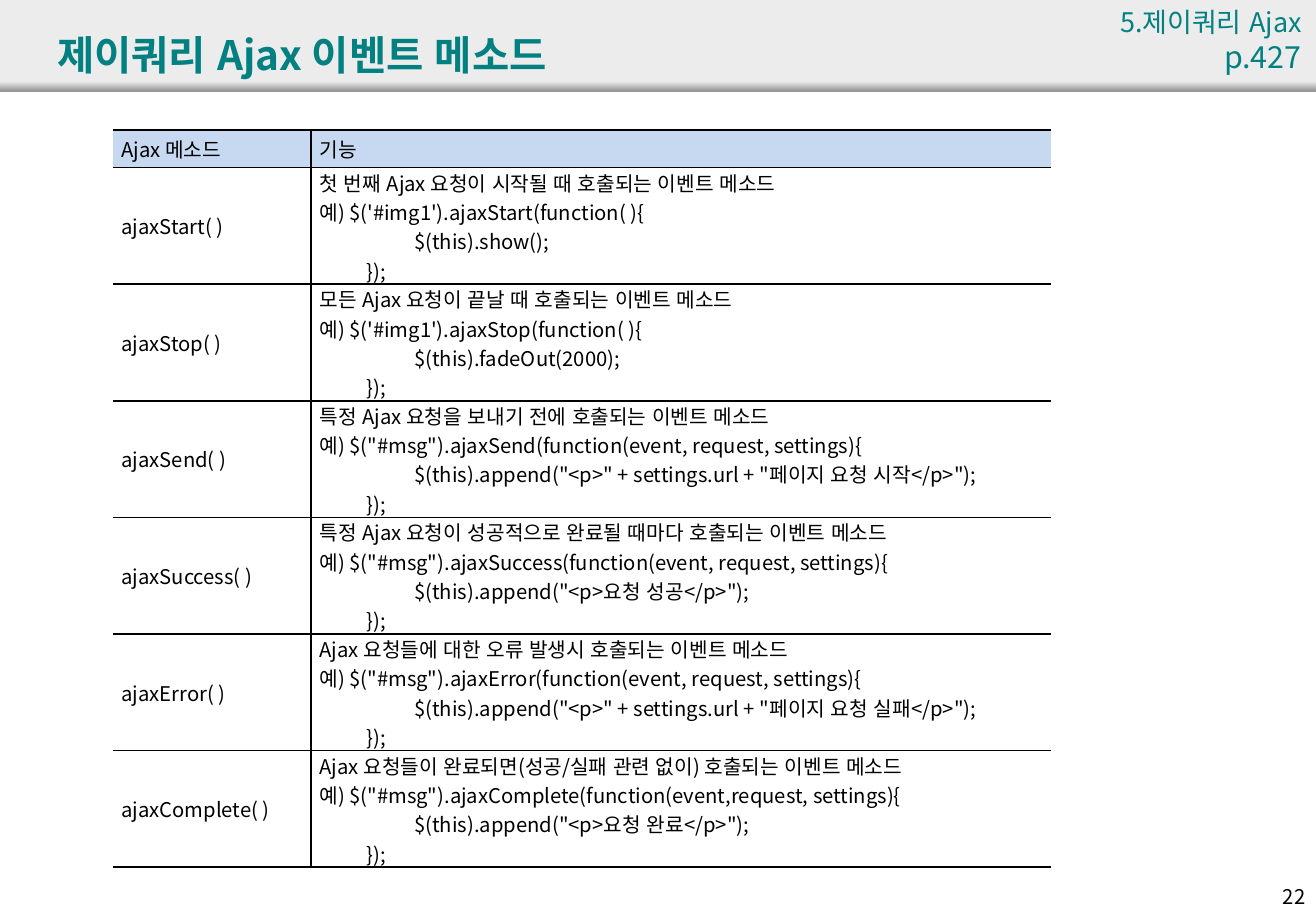
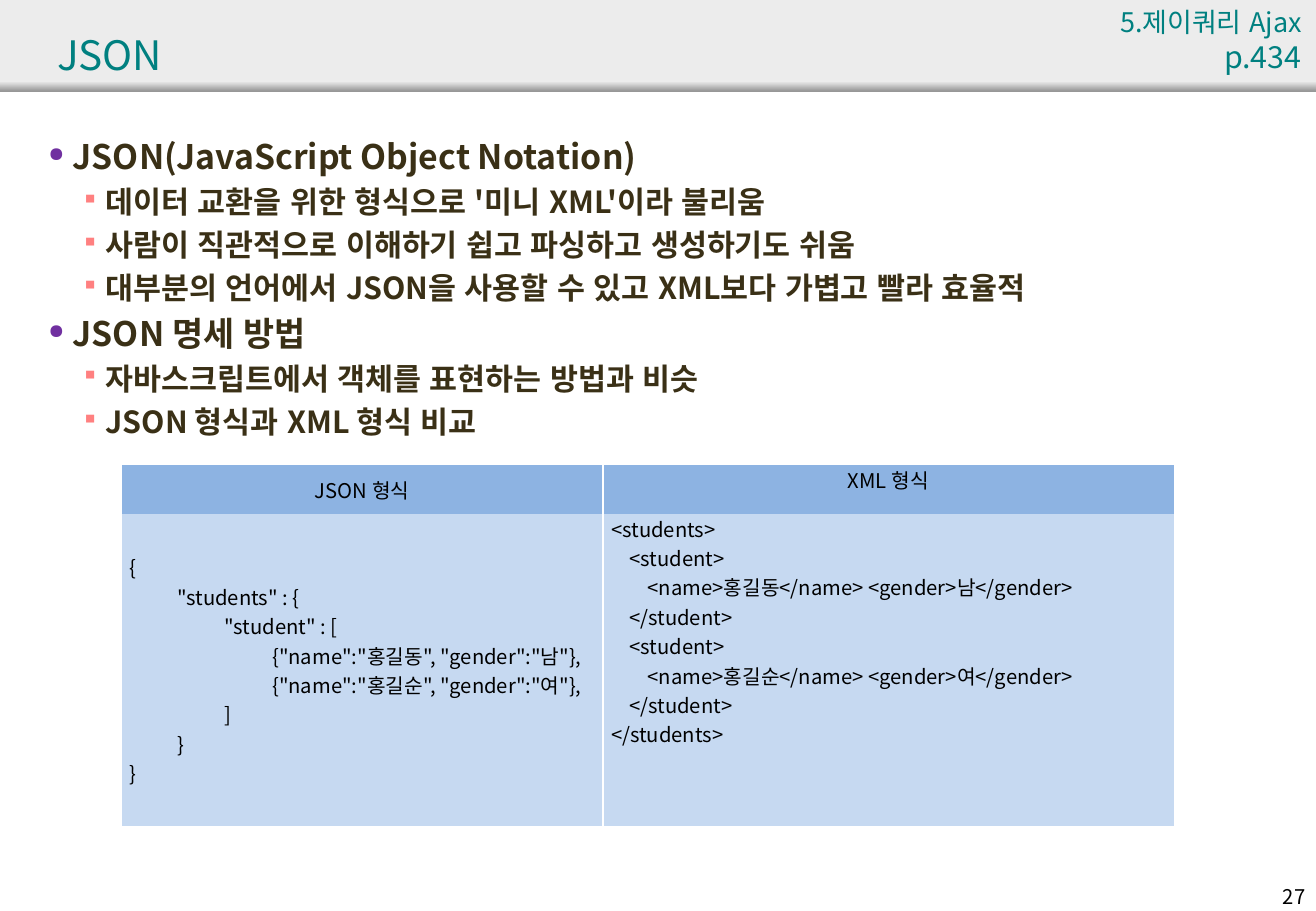
from lxml import etree
from pptx import Presentation
from pptx import util as u
from pptx.dml.color import RGBColor
from pptx.enum import lang, shapes, text
from pptx.oxml.ns import qn

FONT = "Noto Sans CJK KR"
BLACK = RGBColor(0x00, 0x00, 0x00)
WHITE = RGBColor(0xFF, 0xFF, 0xFF)
TEAL = RGBColor(0x00, 0x80, 0x80)
BROWN = RGBColor(0x3A, 0x30, 0x16)
PURPLE = RGBColor(0x70, 0x30, 0xA0)
CORAL = RGBColor(0xFF, 0x80, 0x80)
BAND_GRAY = RGBColor(0xEC, 0xEC, 0xEC)
EDGE_GRAY = RGBColor(0x97, 0x97, 0x97)
PALE_BLUE = RGBColor(0xC6, 0xD9, 0xF1)
MID_BLUE = RGBColor(0x8D, 0xB3, 0xE2)

WIDTH, HEIGHT = 10.83, 7.5
BAND_HEIGHT = HEIGHT / 10
EDGE_HEIGHT = 0.08
CODE_STEP = 0.39
MARKUP_STEP = 0.15
TOP, MIDDLE = text.MSO_ANCHOR.TOP, text.MSO_ANCHOR.MIDDLE
LEFT, CENTER, RIGHT = text.PP_ALIGN.LEFT, text.PP_ALIGN.CENTER, text.PP_ALIGN.RIGHT

EVENTS = [
    ("ajaxStart", "첫 번째 Ajax 요청이 시작될 때 호출되는 이벤트 메소드",
     "#img1", "", "show()"),
    ("ajaxStop", "모든 Ajax 요청이 끝날 때 호출되는 이벤트 메소드",
     "#img1", "", "fadeOut(2000)"),
    ("ajaxSend", "특정 Ajax 요청을 보내기 전에 호출되는 이벤트 메소드",
     "#msg", "event, request, settings",
     'append("<p>" + settings.url + "페이지 요청 시작</p>")'),
    ("ajaxSuccess", "특정 Ajax 요청이 성공적으로 완료될 때마다 호출되는 이벤트 메소드",
     "#msg", "event, request, settings", 'append("<p>요청 성공</p>")'),
    ("ajaxError", "Ajax 요청들에 대한 오류 발생시 호출되는 이벤트 메소드",
     "#msg", "event, request, settings",
     'append("<p>" + settings.url + "페이지 요청 실패</p>")'),
    ("ajaxComplete", "Ajax 요청들이 완료되면(성공/실패 관련 없이) 호출되는 이벤트 메소드",
     "#msg", "event,request, settings", 'append("<p>요청 완료</p>")'),
]

OUTLINE = [
    (0, "JSON(JavaScript Object Notation)"),
    (1, "데이터 교환을 위한 형식으로 '미니 XML'이라 불리움"),
    (1, "사람이 직관적으로 이해하기 쉽고 파싱하고 생성하기도 쉬움"),
    (1, "대부분의 언어에서 JSON을 사용할 수 있고 XML보다 가볍고 빨라 효율적"),
    (0, "JSON 명세 방법"),
    (1, "자바스크립트에서 객체를 표현하는 방법과 비슷"),
    (1, "JSON 형식과 XML 형식 비교"),
]
# size, text indent, bullet, bullet colour, bullet size in percent
LEVELS = [(20, 0.2, "●", PURPLE, 60), (18, 0.47, "▪", CORAL, 80)]
BULLET_HANG = 0.2

STUDENTS = [("홍길동", "남"), ("홍길순", "여")]
JSON_LINES = [
    "{", '\t"students" : {', '\t\t"student" : [',
    *(f'\t\t\t{{"name":"{name}", "gender":"{gender}"}},' for name, gender in STUDENTS),
    "\t\t]", "\t}", "}",
]
XML_LINES = ["<students>"]
for name, gender in STUDENTS:
    XML_LINES += ["\t<student>",
                  f"\t\t<name>{name}</name> <gender>{gender}</gender>",
                  "\t</student>"]
XML_LINES.append("</students>")


def inches(*lengths):
    return [u.Inches(length) for length in lengths]


def set_font(paragraph, size, color, bold=False):
    """Set the paragraph font, and mark its runs as Korean for line breaking."""
    font = paragraph.font
    font.size, font.bold, font.name = u.Pt(size), bold, FONT
    font.color.rgb = color
    properties = paragraph._p.get_or_add_pPr().find(qn("a:defRPr"))
    etree.SubElement(properties, qn("a:ea"), typeface=FONT)
    for run in paragraph.runs:
        run.font.language_id = lang.MSO_LANGUAGE_ID.KOREAN


def add_text_box(slide, box):
    frame = slide.shapes.add_textbox(*inches(*box)).text_frame
    frame.word_wrap = True
    return frame


def add_band(slide):
    """Gray header band with a darker gradient along its lower edge."""
    for top, height in ((0, BAND_HEIGHT), (BAND_HEIGHT - EDGE_HEIGHT, EDGE_HEIGHT)):
        band = slide.shapes.add_shape(shapes.MSO_SHAPE.RECTANGLE,
                                      *inches(0, top, WIDTH, height))
        band.shadow.inherit = False
        band.line.fill.background()
        band.fill.solid()
        band.fill.fore_color.rgb = BAND_GRAY
    band.fill.gradient()
    band.fill.gradient_angle = 270
    for stop, color, position in zip(band.fill.gradient_stops,
                                     (BAND_GRAY, EDGE_GRAY), (0, 1)):
        stop.color.rgb = color
        stop.position = position


def add_title(slide, title, bold):
    shape = slide.shapes.title
    shape.left, shape.top, shape.width, shape.height = inches(0.37, 0.13, 9.92, 0.63)
    frame = shape.text_frame
    frame.text = title
    frame.auto_size = text.MSO_AUTO_SIZE.NONE
    frame.vertical_anchor = MIDDLE
    frame.paragraphs[0].alignment = LEFT
    set_font(frame.paragraphs[0], 24, TEAL, bold)
    slide.shapes._spTree.append(shape._element)


def add_chapter(slide, book_page):
    paragraph = add_text_box(slide, (9.11, 0, 1.7, 0.4)).paragraphs[0]
    paragraph.alignment = RIGHT
    paragraph.add_run().text = "5.제이쿼리 Ajax "
    page_run = paragraph.add_run()
    page_run.text = f"p.{book_page}"
    set_font(paragraph, 16, TEAL)
    page_run.font.size = u.Pt(18)


def add_page_number(slide, number):
    paragraph = add_text_box(slide, (WIDTH - 0.54, 7.23, 0.55, 0.3)).paragraphs[0]
    paragraph.text = str(number)
    paragraph.alignment = RIGHT
    set_font(paragraph, 12, BLACK)


def new_slide(presentation, title, book_page, number, bold=False):
    slide = presentation.slides.add_slide(presentation.slide_layouts[5])
    add_band(slide)
    add_title(slide, title, bold)
    add_chapter(slide, book_page)
    add_page_number(slide, number)
    return slide


def add_plain_table(slide, left, top, columns, rows):
    """Table of the given column widths and row heights, without style banding."""
    table = slide.shapes.add_table(len(rows), len(columns), *inches(
        left, top, sum(columns), sum(rows))).table
    table.first_row = table.horz_banding = False
    for column, width in zip(table.columns, columns):
        column.width = u.Inches(width)
    for row, height in zip(table.rows, rows):
        row.height = u.Inches(height)
    return table


def set_borders(cell, sides, color, points):
    """Draw the named sides (of L, R, T, B) and clear the others."""
    properties = cell._tc.get_or_add_tcPr()
    for side in "LRTB":
        line = etree.SubElement(properties, qn(f"a:ln{side}"), w=str(u.Pt(points)))
        if side in sides:
            fill = etree.SubElement(line, qn("a:solidFill"))
            etree.SubElement(fill, qn("a:srgbClr"), val=str(color))
        else:
            etree.SubElement(line, qn("a:noFill"))


def fill_cell(cell, lines, fill=None, step=CODE_STEP, alignment=LEFT,
              anchor=MIDDLE, padding=0):
    """Write lines into a cell; each leading tab indents a first line by step."""
    cell.margin_left = cell.margin_right = u.Inches(0.07)
    cell.margin_top = cell.margin_bottom = u.Inches(padding)
    cell.vertical_anchor = anchor
    if fill is None:
        cell.fill.background()
    else:
        cell.fill.solid()
        cell.fill.fore_color.rgb = fill
    frame = cell.text_frame
    for index, line in enumerate(lines):
        paragraph = frame.add_paragraph() if index else frame.paragraphs[0]
        paragraph.text = line.lstrip("\t")
        paragraph.alignment = alignment
        depth = len(line) - len(paragraph.text)
        properties = paragraph._p.get_or_add_pPr()
        properties.set("marL", "0")
        properties.set("indent", str(u.Inches(depth * step)))
        set_font(paragraph, 12, BLACK)


def add_event_table(slide, left, top):
    table = add_plain_table(slide, left, top, [1.63, 6.09],
                            [0.31] + [0.96] * len(EVENTS))
    rows = [(["Ajax 메소드"], ["기능"])]
    for method, purpose, target, arguments, action in EVENTS:
        quote = '"' if arguments else "'"
        rows.append(([f"{method}( )"], [
            purpose,
            f"예) $({quote}{target}{quote}).{method}(function({arguments or ' '}){{",
            f"\t\t$(this).{action};",
            "\t});",
        ]))
    for row_index, row in enumerate(rows):
        for column_index, lines in enumerate(row):
            cell = table.cell(row_index, column_index)
            set_borders(cell, "TB" + "RL"[column_index], BLACK, 1)
            fill_cell(cell, lines, None if row_index else PALE_BLUE)


def add_format_table(slide, left, top):
    table = add_plain_table(slide, left, top, [3.96, 4.7], [0.4, 2.57])
    formats = [
        ("JSON 형식", JSON_LINES, "R", CODE_STEP, MIDDLE, 0.08),
        ("XML 형식", XML_LINES, "L", MARKUP_STEP, TOP, 0),
    ]
    for column, (heading, lines, side, step, anchor, padding) in enumerate(formats):
        parts = [([heading], MID_BLUE, CENTER), (lines, PALE_BLUE, LEFT)]
        for row, (content, fill, alignment) in enumerate(parts):
            cell = table.cell(row, column)
            set_borders(cell, side, WHITE, 1.5)
            fill_cell(cell, content, fill, step, alignment, anchor, padding)


def set_bullet(paragraph, indent, character, color, percent):
    properties = paragraph._p.get_or_add_pPr()
    properties.set("marL", str(u.Inches(indent)))
    properties.set("indent", str(u.Inches(-BULLET_HANG)))
    bullet_color = etree.Element(qn("a:buClr"))
    etree.SubElement(bullet_color, qn("a:srgbClr"), val=str(color))
    bullet_size = etree.Element(qn("a:buSzPct"), val=str(percent * 1000))
    bullet = etree.Element(qn("a:buChar"), char=character)
    default_font = properties.find(qn("a:defRPr"))
    for element in (bullet_color, bullet_size, bullet):
        default_font.addprevious(element)


def add_outline(slide, box):
    frame = add_text_box(slide, box)
    for index, (level, line) in enumerate(OUTLINE):
        size, *bullet = LEVELS[level]
        paragraph = frame.add_paragraph() if index else frame.paragraphs[0]
        paragraph.text = line
        paragraph.level = level
        paragraph.space_before = u.Pt(4)
        set_font(paragraph, size, BROWN, bold=True)
        set_bullet(paragraph, *bullet)


def main():
    presentation = Presentation()
    presentation.slide_width, presentation.slide_height = inches(WIDTH, HEIGHT)

    events = new_slide(presentation, "제이쿼리 Ajax 이벤트 메소드", 427, 22, bold=True)
    add_event_table(events, 0.93, 1.07)

    json_slide = new_slide(presentation, "JSON", 434, 27)
    add_outline(json_slide, (0.3, 1.07, 10.32, 2.7))
    add_format_table(json_slide, 1, 3.83)

    presentation.save("out.pptx")


if __name__ == "__main__":
    main()
